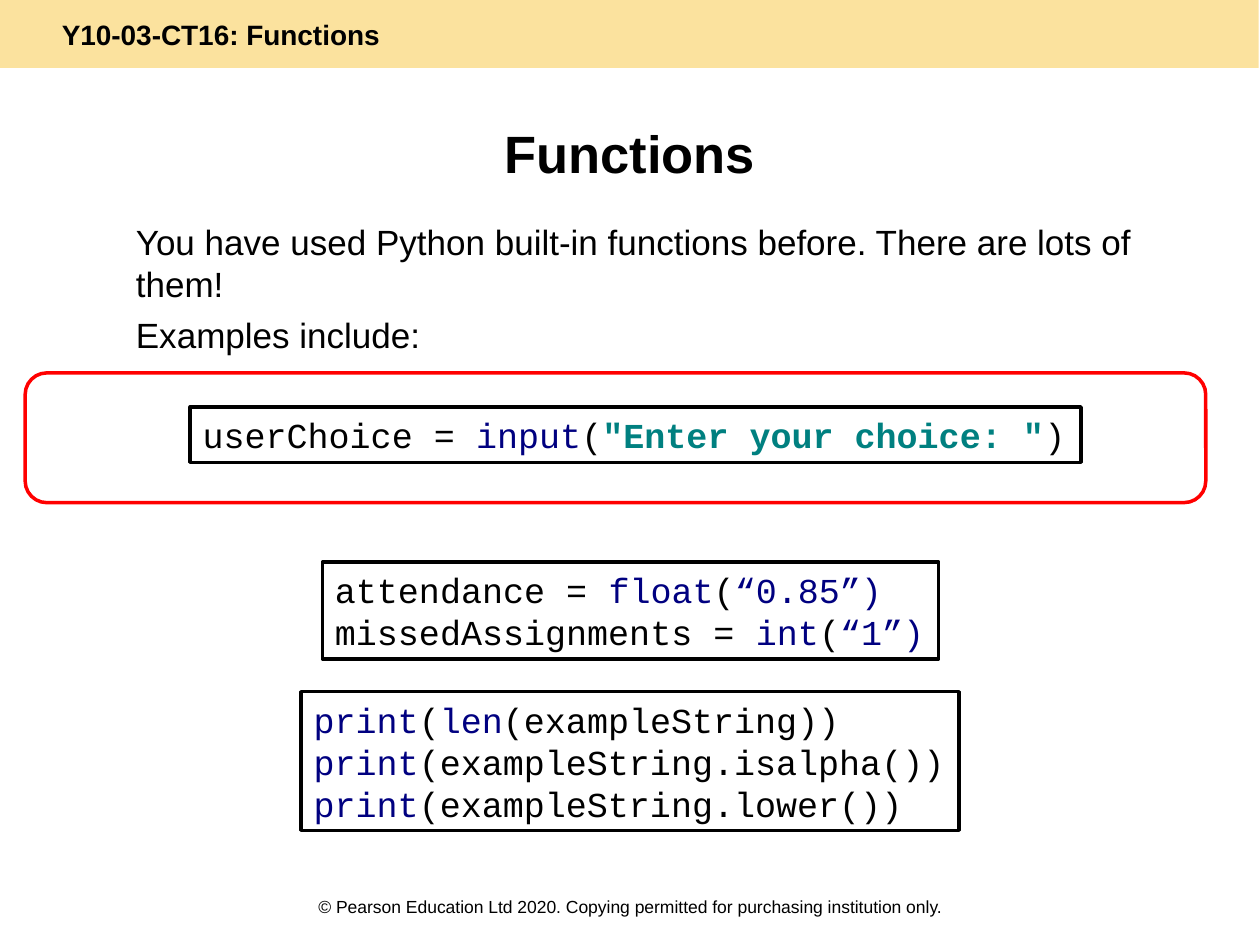
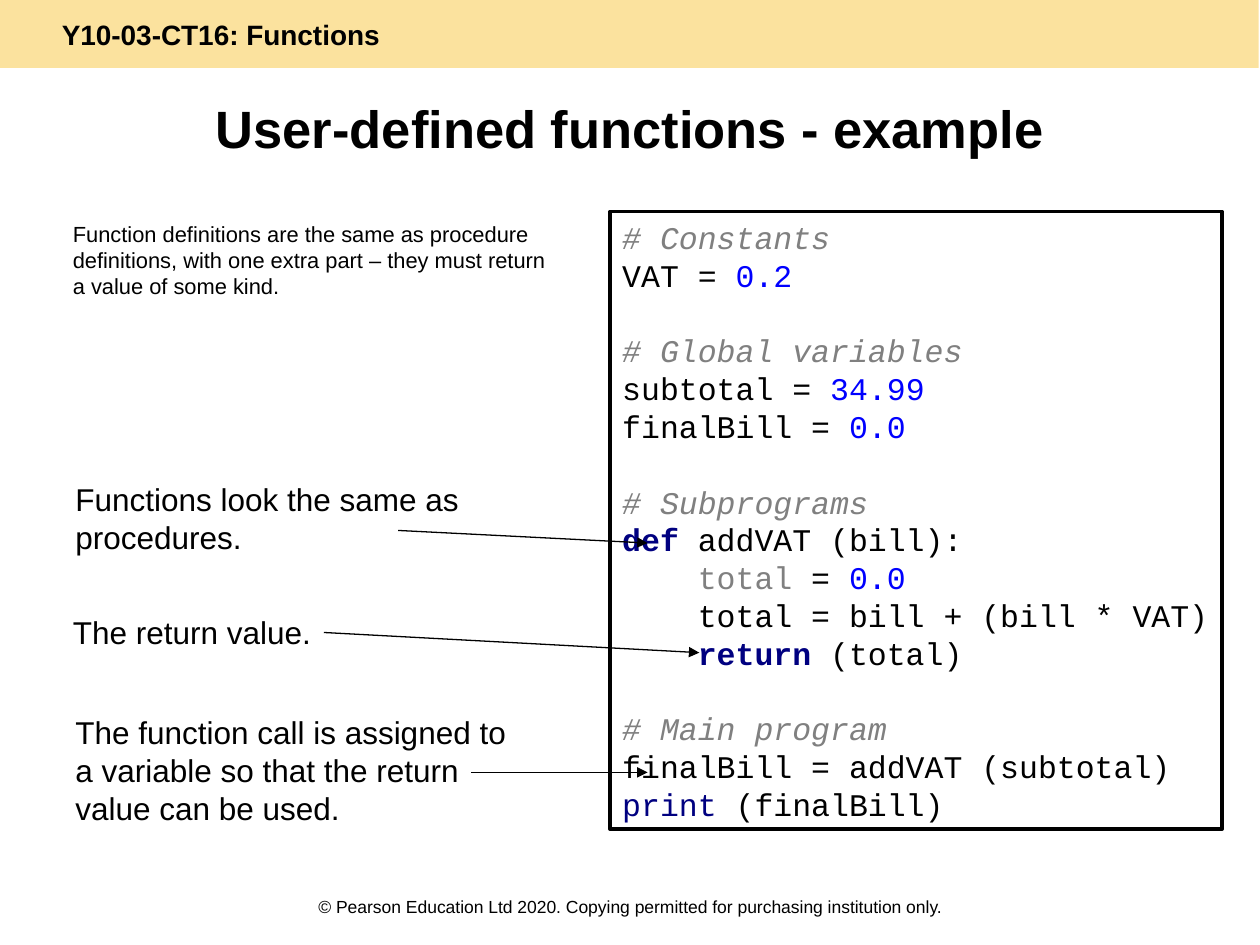
from pptx import Presentation, util as u
from pptx.dml.color import RGBColor
from pptx.enum import shapes, text
from pptx.oxml import ns
from lxml import etree

COLORS = {
    "black": "000000", "white": "FFFFFF", "band": "F9C73E", "frame": "FF0000",
    "builtin": "000080", "keyword": "000080", "string": "008080",
    "string_arg": "000080", "comment": "808080", "unused": "808080",
    "number": "0000FF",
}
BOLD_KINDS = {"keyword", "string"}
BODY_FONT, CODE_FONT = "Arial", "Courier New"
CELL = u.Inches(0.1)  # grid of 100 columns by 75 rows
COLUMNS, ROWS = 100, 75
LINE_PITCH = 1.2

BUILTIN_EXAMPLES = [
    ((15.1, 32.3, 70.7, 4.4), [
        ["userChoice = ", ("input", "builtin"), "(",
         ("\"Enter your choice: \"", "string"), ")"],
    ]),
    ((25.6, 44.6, 48.9, 7.7), [
        ["attendance = ", ("float", "builtin"), "(", ("“0.85”)", "string_arg")],
        ["missedAssignments = ", ("int", "builtin"), "(", ("“1”)", "string_arg")],
    ]),
    ((23.9, 54.9, 52.2, 11), [
        [("print", "builtin"), "(", ("len", "builtin"), "(exampleString))"],
        [("print", "builtin"), "(exampleString.isalpha())"],
        [("print", "builtin"), "(exampleString.lower())"],
    ]),
]
VAT_PROGRAM = [
    [("# Constants", "comment")],
    ["VAT = ", ("0.2", "number")],
    [],
    [("# Global variables", "comment")],
    ["subtotal = ", ("34.99", "number")],
    ["finalBill = ", ("0.0", "number")],
    [],
    [("# Subprograms", "comment")],
    [("def ", "keyword"), "addVAT (bill):"],
    ["    ", ("total ", "unused"), "= ", ("0.0", "number")],
    ["    total = bill + (bill * VAT)"],
    ["    ", ("return ", "keyword"), "(total)"],
    [],
    [("# Main program", "comment")],
    ["finalBill = addVAT (subtotal)"],
    [("print ", "builtin"), "(finalBill)"],
]
# Note box, wording, arrow start and end counted from the corner of the box
VAT_NOTES = [
    ((5, 37.6, 38.9, 7), "Functions look the same as procedures.",
     (26.6, 4.5), (46.4, 5.5)),
    ((4.8, 48.2, 26.8, 4), "The return value.", (20.9, 2), (50.7, 3.6)),
    ((5, 56.1, 38, 10),
     "The function call is assigned to a variable so that the return value can be used.",
     (32.4, 5.2), (46.4, 5.2)),
]


def color(name):
    return RGBColor.from_string(COLORS[name])


def cells(*counts):
    return [round(count * CELL) for count in counts]


def style_span(span, size, font=BODY_FONT, bold=False, italic=False, ink="black"):
    span.font.name, span.font.size = font, u.Pt(size)
    span.font.bold, span.font.italic = bold, italic
    span.font.color.rgb = color(ink)


def write(shape, wording, size, bold=False, align=text.PP_ALIGN.LEFT, gap=0):
    frame = shape.text_frame
    frame.word_wrap = True
    frame.text = wording
    for number, para in enumerate(frame.paragraphs):
        para.alignment = align
        para.line_spacing = u.Pt(size * LINE_PITCH)
        if number:
            para.space_before = u.Pt(gap)
        for span in para.runs:
            style_span(span, size, bold=bold)


def add_text(parent, box, wording, size, **look):
    write(parent.add_textbox(*cells(*box)), wording, size, **look)


def add_panel(page, box, kind=shapes.MSO_SHAPE.RECTANGLE, fill=None, line=None):
    panel = page.shapes.add_shape(kind, *cells(*box))
    panel.shadow.inherit = False
    if fill:
        panel.fill.solid()
        panel.fill.fore_color.rgb = color(fill)
    else:
        panel.fill.background()
    if line:
        panel.line.color.rgb = color(line)
        panel.line.width = u.Pt(2)
    else:
        panel.line.fill.background()
    return panel


def add_band(page, box):
    band = add_panel(page, box, fill="band")
    tint = band.fill._xPr.find(".//" + ns.qn("a:srgbClr"))
    etree.SubElement(tint, ns.qn("a:alpha"), val="50000")
    write(band, "Y10-03-CT16: Functions", 16, bold=True)
    band.text_frame.margin_left = u.Inches(0.49)
    band.text_frame.vertical_anchor = text.MSO_ANCHOR.MIDDLE


def add_code(page, box, lines, size):
    frame = add_panel(page, box, fill="white", line="black").text_frame
    frame.word_wrap = False
    frame.vertical_anchor = text.MSO_ANCHOR.MIDDLE
    para = frame.paragraphs[0]
    para.alignment = text.PP_ALIGN.LEFT
    para.line_spacing = u.Pt(size * LINE_PITCH)
    for number, line in enumerate(lines):
        if number:
            para.add_line_break()
        for token in line:
            wording, kind = (token, "black") if isinstance(token, str) else token
            span = para.add_run()
            span.text = wording
            style_span(span, size, CODE_FONT, kind in BOLD_KINDS,
                       kind == "comment", kind)


def add_note(page, box, wording, start, end):
    group = page.shapes.add_group_shape().shapes
    add_text(group, box, wording, 18)
    left, top = box[:2]
    arrow = group.add_connector(
        shapes.MSO_CONNECTOR.STRAIGHT,
        *cells(left + start[0], top + start[1], left + end[0], top + end[1]))
    arrow.line.color.rgb = color("black")
    arrow.line.width = u.Pt(0.75)
    etree.SubElement(arrow.line._get_or_add_ln(), ns.qn("a:tailEnd"), type="triangle")
    etree.SubElement(arrow._element.spPr, ns.qn("a:effectLst"))


def add_page(deck, title, title_top):
    """Page with the shared band, footer and title."""
    page = deck.slides.add_slide(deck.slide_layouts[6])
    add_band(page, (0, 0, COLUMNS - 0.1, 5.4))
    add_text(page.shapes, (0, 70.6, COLUMNS, 3.1),
             "© Pearson Education Ltd 2020. Copying permitted for purchasing institution only.",
             10, align=text.PP_ALIGN.CENTER)
    add_text(page.shapes, (5, title_top, COLUMNS - 10, 9.4), title, 30,
             bold=True, align=text.PP_ALIGN.CENTER)
    return page


def builtin_page(deck):
    page = add_page(deck, "Functions", 9.1)
    # Introduction
    add_text(page.shapes, (9.8, 17, 81.1, 11.8),
             "You have used Python built-in functions before. There are lots of them!\n"
             "Examples include:", 20, gap=5)
    # Code examples
    for box, lines in BUILTIN_EXAMPLES:
        add_code(page, box, lines, 20)
    # Red frame around the first example
    add_panel(page, (2, 29.6, 93.7, 10.3),
              shapes.MSO_SHAPE.ROUNDED_RECTANGLE, line="frame")


def user_defined_page(deck):
    page = add_page(deck, "User-defined functions - example", 7.1)
    # Introduction
    add_text(page.shapes, (4.8, 17, 40.4, 7.9),
             "Function definitions are the same as procedure definitions, with one "
             "extra part – they must return a value of some kind.", 12.5)
    # Program with its notes
    add_code(page, (48.4, 16.8, 48.6, 49), VAT_PROGRAM, 18)
    for note in VAT_NOTES:
        add_note(page, *note)


def main():
    deck = Presentation()
    deck.slide_width, deck.slide_height = cells(COLUMNS, ROWS)
    builtin_page(deck)
    user_defined_page(deck)
    deck.save("out.pptx")


if __name__ == "__main__":
    main()
